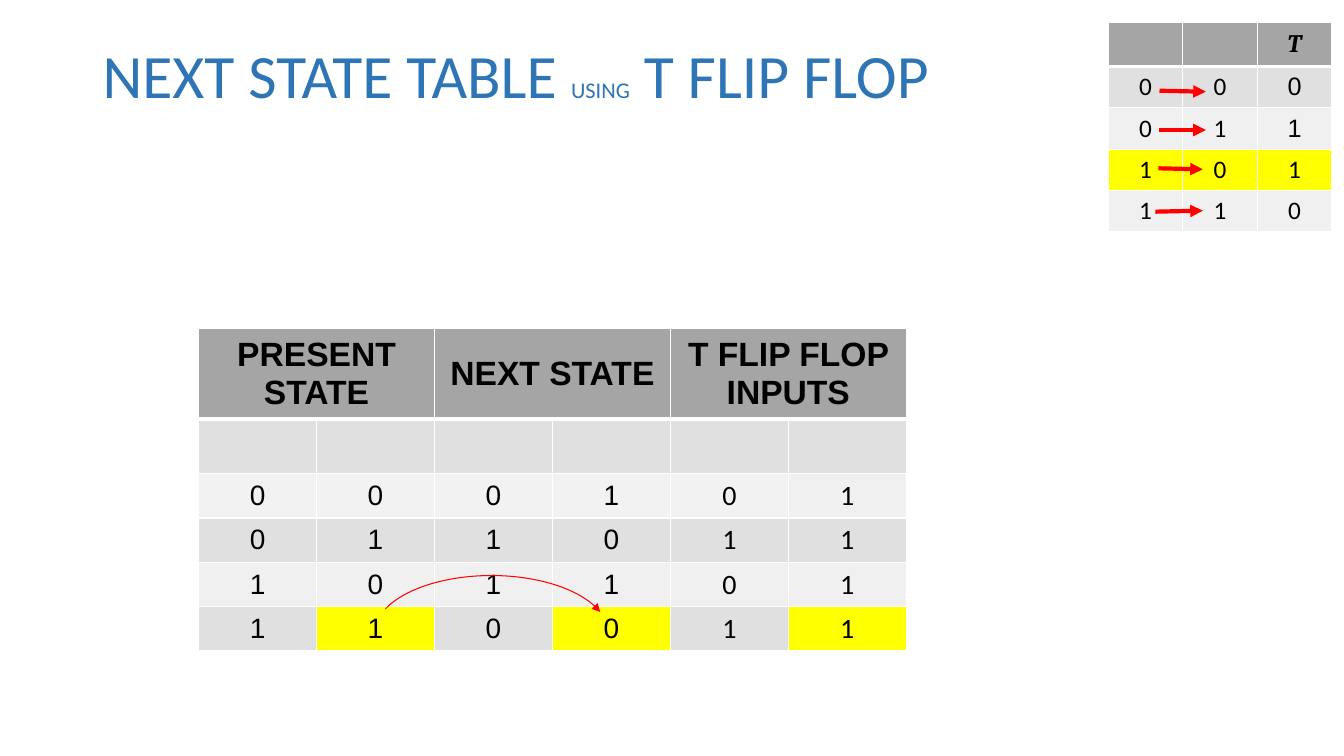
from lxml import etree
from pptx import Presentation
from pptx.dml.color import RGBColor
from pptx.enum.shapes import MSO_CONNECTOR, MSO_SHAPE
from pptx.enum.text import MSO_ANCHOR, PP_ALIGN
from pptx.oxml.ns import qn
from pptx.util import Inches, Pt

BLUE = RGBColor(0x2E, 0x75, 0xB5)
BLACK = RGBColor(0, 0, 0)
RED = RGBColor(0xFF, 0, 0)
YELLOW = RGBColor(0xFF, 0xFF, 0)
WHITE = RGBColor(0xFF, 0xFF, 0xFF)
HEADER_GRAY = RGBColor(0xA5, 0xA5, 0xA5)
DARK_BAND = RGBColor(0xE0, 0xE0, 0xE0)
LIGHT_BAND = RGBColor(0xF0, 0xF0, 0xF0)
PALE_BAND = RGBColor(0xF2, 0xF2, 0xF2)

STATE_ROWS = [
    ["PRESENT STATE", "", "NEXT STATE", "", "T FLIP FLOP INPUTS", ""],
    [""] * 6,
    list("000101"),
    list("011011"),
    list("101101"),
    list("110011"),
]
EXCITATION_ROWS = [["", "", "T"], list("000"), list("011"), list("101"), list("110")]
ARROWS = [
    (11.5, 0.9, 11.96, 0.91),
    (11.5, 1.29, 11.96, 1.29),
    (11.49, 1.67, 11.93, 1.68),
    (11.46, 2.1, 11.93, 2.09),
]


def style_font(font, color, **format_values):
    for name, value in format_values.items():
        setattr(font, name, value)
    font.color.rgb = color


def add_title(slide, left, top, width, height):
    frame = slide.shapes.add_textbox(
        Inches(left), Inches(top), Inches(width), Inches(height)).text_frame
    frame.word_wrap = True
    paragraph = frame.paragraphs[0]
    paragraph.line_spacing = 0.9
    for text, size in (("NEXT STATE TABLE ", 44), ("USING", 16), (" T FLIP FLOP", 44)):
        run = paragraph.add_run()
        run.text = text
        style_font(run.font, BLUE, name="Calibri", size=Pt(size))


def set_borders(cell, widths):
    """Draw white borders; widths maps a side (L, R, T, B) to points."""
    properties = cell._tc.get_or_add_tcPr()
    for index, side in enumerate("LRTB"):
        line = etree.Element(qn(f"a:ln{side}"), w=str(Pt(widths[side])))
        fill = etree.SubElement(line, qn("a:solidFill"))
        etree.SubElement(fill, qn("a:srgbClr"), val=str(WHITE))
        properties.insert(index, line)


def add_state_grid(slide, left, top, column_width, row_heights, rows, row_fills,
                   special_fills, arial_cells, body_size, header_font, span=1):
    """Place a table whose header cells each cover span columns."""
    column_count = len(rows[0])
    table = slide.shapes.add_table(
        len(rows), column_count, Inches(left), Inches(top),
        Inches(column_width * column_count), Inches(sum(row_heights))).table
    table.first_row = table.horz_banding = False
    for column in table.columns:
        column.width = Inches(column_width)
    for row, height in zip(table.rows, row_heights):
        row.height = Inches(height)
    for i, row in enumerate(rows):
        for j, text in enumerate(row):
            cell = table.cell(i, j)
            cell.vertical_anchor = MSO_ANCHOR.MIDDLE
            cell.fill.solid()
            cell.fill.fore_color.rgb = special_fills.get((i, j), row_fills[i])
            set_borders(cell, {"L": 1, "R": 1, "T": 3 if i == 1 else 1,
                               "B": 3 if i == 0 else 1})
            if not text:
                continue
            paragraph = cell.text_frame.paragraphs[0]
            paragraph.alignment = PP_ALIGN.CENTER
            run = paragraph.add_run()
            run.text = text
            body_font = {"name": "Arial" if (i, j) in arial_cells else "Calibri",
                         "size": Pt(body_size), "bold": False}
            style_font(run.font, BLACK, **(body_font if i else header_font))
    if span > 1:
        for j in range(0, column_count, span):
            table.cell(0, j).merge(table.cell(0, j + span - 1))


def set_red_arrow_line(shape, width):
    shape.line.color.rgb = RED
    shape.line.width = Pt(width)
    etree.SubElement(shape.line._get_or_add_ln(), qn("a:tailEnd"), type="triangle")


def add_transition_arc(slide, left, top, width, height):
    arc = slide.shapes.add_shape(
        MSO_SHAPE.ARC, Inches(left), Inches(top), Inches(width), Inches(height))
    arc.adjustments[0], arc.adjustments[1] = 115.95, 209.15
    arc.shadow.inherit = False
    arc.fill.background()
    set_red_arrow_line(arc, 0.75)


def add_arrow(slide, *ends):
    arrow = slide.shapes.add_connector(MSO_CONNECTOR.STRAIGHT, *map(Inches, ends))
    set_red_arrow_line(arrow, 3)
    etree.SubElement(arrow._element.spPr, qn("a:effectLst"))


def add_next_state_table(slide, left, top):
    last = len(STATE_ROWS) - 1
    add_state_grid(
        slide, left, top, 1.17, [0.9, 0.54] + [0.44] * 4, STATE_ROWS,
        [HEADER_GRAY, DARK_BAND, PALE_BAND, DARK_BAND, LIGHT_BAND, DARK_BAND],
        {(2, 5): LIGHT_BAND, **{(last, j): YELLOW for j in (1, 3, 5)}},
        {(i, j) for i in range(2, last + 1) for j in range(4)}, 20,
        {"name": "Arial", "size": Pt(24), "bold": True}, span=2)
    add_transition_arc(slide, left + 1.74, top + 2.45, 2.33, 1.16)


def add_excitation_table(slide, left, top):
    add_state_grid(
        slide, left, top, 0.74, [0.44] + [0.41] * 4, EXCITATION_ROWS,
        [HEADER_GRAY, DARK_BAND, LIGHT_BAND, YELLOW, LIGHT_BAND],
        {}, {(1, 2), (2, 2)}, 18,
        {"name": "Cambria", "size": Pt(18), "bold": True, "italic": True})
    for ends in ARROWS:
        add_arrow(slide, *ends)


def main():
    presentation = Presentation()
    presentation.slide_width = Inches(13.33)
    presentation.slide_height = Inches(7.5)
    slide = presentation.slides.add_slide(presentation.slide_layouts[6])
    add_title(slide, 0.92, 0.4, 11.5, 1.45)
    add_next_state_table(slide, 1.97, 3.26)
    add_excitation_table(slide, 10.99, 0.22)
    presentation.save("out.pptx")


if __name__ == "__main__":
    main()
